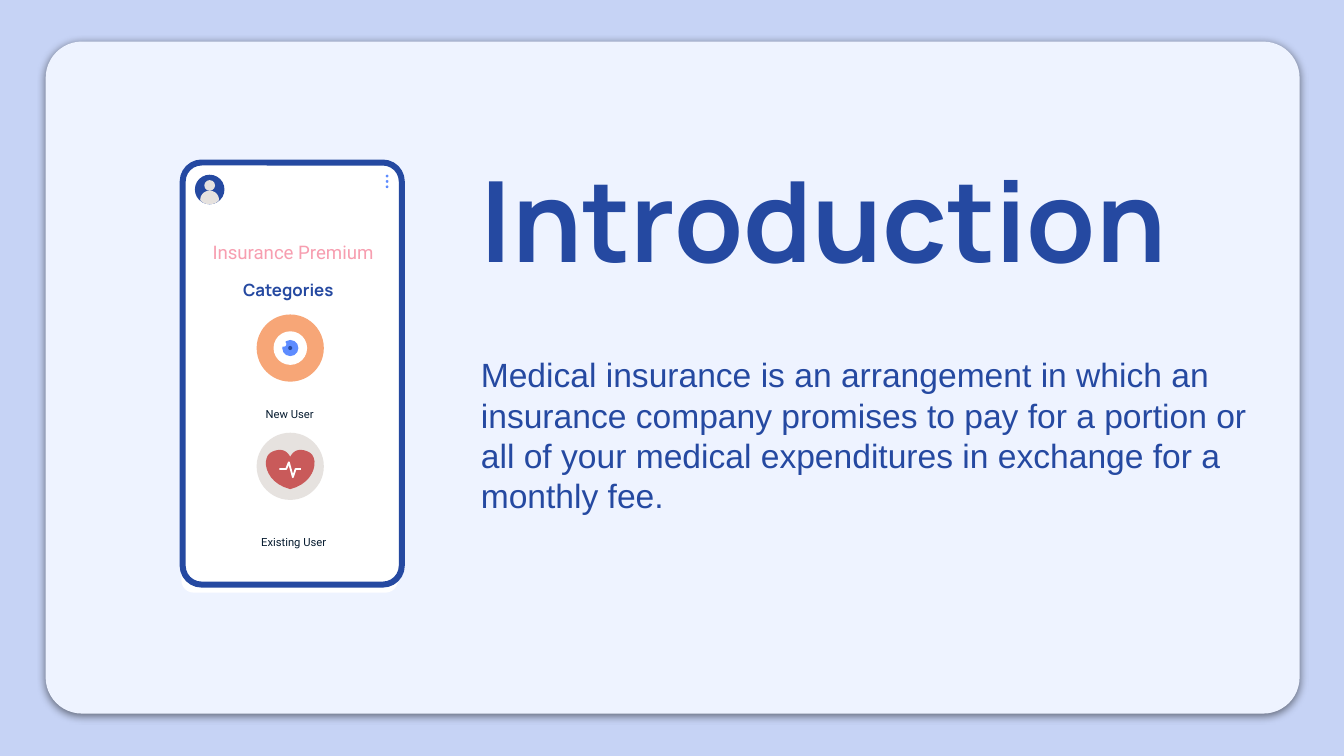
from lxml.etree import SubElement
from pptx import Presentation
from pptx.dml.color import RGBColor
from pptx.enum.shapes import MSO_SHAPE
from pptx.enum.text import MSO_ANCHOR, PP_ALIGN
from pptx.oxml.ns import qn
from pptx.util import Inches, Pt

SKY = RGBColor(0xC6, 0xD3, 0xF5)
PALE = RGBColor(0xEE, 0xF3, 0xFF)
NAVY = RGBColor(0x25, 0x49, 0xA1)
BLUE = RGBColor(0x5E, 0x8C, 0xFF)
INK = RGBColor(0x07, 0x1C, 0x30)
PINK = RGBColor(0xF7, 0x9E, 0xB0)
ORANGE = RGBColor(0xF7, 0xA6, 0x77)
GREY = RGBColor(0xE6, 0xE2, 0xDF)
RED = RGBColor(0xC9, 0x5A, 0x5A)
WHITE = RGBColor(0xFF, 0xFF, 0xFF)


def paint(sp, fill=None, line=None, width=1):
    sp.shadow.inherit = False
    if fill is None:
        sp.fill.background()
    else:
        sp.fill.solid()
        sp.fill.fore_color.rgb = fill
    if line is None:
        sp.line.fill.background()
    else:
        sp.line.color.rgb = line
        sp.line.width = Pt(width)
    return sp


def add_round(s, x, y, w, h, radius, fill, **line):
    sp = s.shapes.add_shape(MSO_SHAPE.ROUNDED_RECTANGLE,
                            Inches(x), Inches(y), Inches(w), Inches(h))
    sp.adjustments[0] = radius / min(w, h)
    return paint(sp, fill, **line)


def add_circle(s, cx, cy, d, fill):
    sp = s.shapes.add_shape(MSO_SHAPE.OVAL, Inches(cx - d / 2),
                            Inches(cy - d / 2), Inches(d), Inches(d))
    return paint(sp, fill)


def add_outline(s, x, y, points, close=True, **style):
    pts = [(Inches(x + px), Inches(y + py)) for px, py in points]
    fb = s.shapes.build_freeform(*pts[0])
    fb.add_line_segments(pts[1:], close=close)
    return paint(fb.convert_to_shape(), **style)


def curve(start, *segments, steps=12):
    points = [start]
    for b, c, d in segments:
        a = points[-1]
        for i in range(1, steps + 1):
            t = i / steps
            u = 1 - t
            points.append(tuple(
                u**3 * p0 + 3 * u * u * t * p1 + 3 * u * t * t * p2 + t**3 * p3
                for p0, p1, p2, p3 in zip(a, b, c, d)))
    return points


def mirror(points):
    return points + [(-x, y) for x, y in reversed(points)]


def add_text(s, x, y, w, h, text, size, font="Roboto", color=NAVY, bold=False,
             align=PP_ALIGN.LEFT, anchor=MSO_ANCHOR.TOP, top=0.1, bottom=0.1,
             after=0):
    tf = s.shapes.add_textbox(Inches(x), Inches(y), Inches(w), Inches(h)).text_frame
    tf.word_wrap = True
    tf.vertical_anchor = anchor
    tf.margin_left = tf.margin_right = Inches(0.1)
    tf.margin_top, tf.margin_bottom = Inches(top), Inches(bottom)
    p = tf.paragraphs[0]
    p.alignment = align
    p.space_after = Pt(after)
    r = p.add_run()
    r.text = text
    r.font.size = Pt(size)
    r.font.name = font
    r.font.bold = bold
    r.font.color.rgb = color


def add_card(s, x, y, w, h):
    sp = add_round(s, x, y, w, h, 0.27, PALE)
    effects = sp._element.spPr.find(qn("a:effectLst"))
    shadow = SubElement(effects, qn("a:outerShdw"), blurRad=str(Pt(4.5)),
                        dist=str(Pt(1.5)), dir="5400000", rotWithShape="0")
    color = SubElement(shadow, qn("a:srgbClr"), val="000000")
    SubElement(color, qn("a:alpha"), val="50000")


def add_avatar(s, cx, cy):
    add_circle(s, cx, cy, 0.22, NAVY)
    bust = curve((0, 0.11), ((-0.03, 0.11), (-0.05, 0.1), (-0.07, 0.08)),
                 ((-0.07, 0.05), (-0.05, 0.01), (0, 0.01)))
    add_outline(s, cx, cy, mirror(bust), fill=GREY)
    add_circle(s, cx, cy - 0.03, 0.08, GREY)


def add_eye(s, cx, cy):
    for dx, dy, d, fill in [(0, 0, 0.5, ORANGE), (0, 0, 0.25, WHITE),
                            (0, 0, 0.12, BLUE), (-0.05, -0.03, 0.04, WHITE),
                            (0, 0, 0.03, NAVY)]:
        add_circle(s, cx + dx, cy + dy, d, fill)


def add_heart(s, cx, cy):
    add_circle(s, cx, cy, 0.5, GREY)
    half = curve((0, 0.17), ((-0.2, 0.12), (-0.22, -0.08), (-0.13, -0.11)),
                 ((-0.06, -0.14), (-0.02, -0.11), (0, -0.07)))
    add_outline(s, cx, cy, mirror(half), fill=RED)
    pulse = [(-0.08, 0.02), (-0.03, 0.02), (-0.01, -0.03), (0.02, 0.08),
             (0.04, 0.02), (0.08, 0.02)]
    add_outline(s, cx, cy, pulse, close=False, line=WHITE, width=1)


def add_phone(s, x, y, w, h):
    add_round(s, x + 0.01, y + 0.06, w - 0.06, h - 0.02, 0.09, WHITE)
    add_round(s, x + 0.02, y + 0.02, w - 0.04, h - 0.04, 0.14, WHITE,
              line=NAVY, width=3.2)
    for i in range(3):
        add_circle(s, x + 1.54, y + 0.12 + 0.04 * i, 0.02, BLUE)
    add_avatar(s, x + 0.22, y + 0.22)
    add_eye(s, x + 0.82, y + 1.4)
    add_heart(s, x + 0.82, y + 2.28)
    label = dict(align=PP_ALIGN.CENTER, after=16, bottom=0.05)
    add_text(s, x + 0.04, y + 0.48, 1.6, 0.25, "Insurance Premium", 10,
             color=PINK, top=0.12, **label)
    add_text(s, x + 0.34, y + 0.77, 0.93, 0.25, "Categories", 9,
             font="Manrope", bold=True, top=0.12, **label)
    for dx, dy, text in [(0.35, 1.69, "New User"), (0.38, 2.64, "Existing User")]:
        add_text(s, x + dx, y + dy, 0.93, 0.25, text, 6, color=INK, top=0.15,
                 **label)


def add_intro(s, x, y, w, h):
    add_text(s, x, y, 5.74, 1.09, "Introduction", 60, font="Manrope", bold=True,
             anchor=MSO_ANCHOR.BOTTOM)
    add_text(s, x, y + h - 1.31, w, 1.31,
             "Medical insurance is an arrangement in which an insurance company "
             "promises to pay for a portion or all of your medical expenditures "
             "in exchange for a monthly fee.", 18, font="Arial",
             anchor=MSO_ANCHOR.MIDDLE, top=0.05, bottom=0.05)


def main():
    prs = Presentation()
    prs.slide_width = Inches(10)
    prs.slide_height = prs.slide_width * 9 // 16
    s = prs.slides.add_slide(prs.slide_layouts[6])
    s.background.fill.solid()
    s.background.fill.fore_color.rgb = SKY
    add_card(s, 0.34, 0.31, 9.33, 5)
    add_phone(s, 1.34, 1.19, 1.67, 3.18)
    add_intro(s, 3.48, 1.13, 5.93, 2.76)
    prs.save("out.pptx")


if __name__ == "__main__":
    main()
